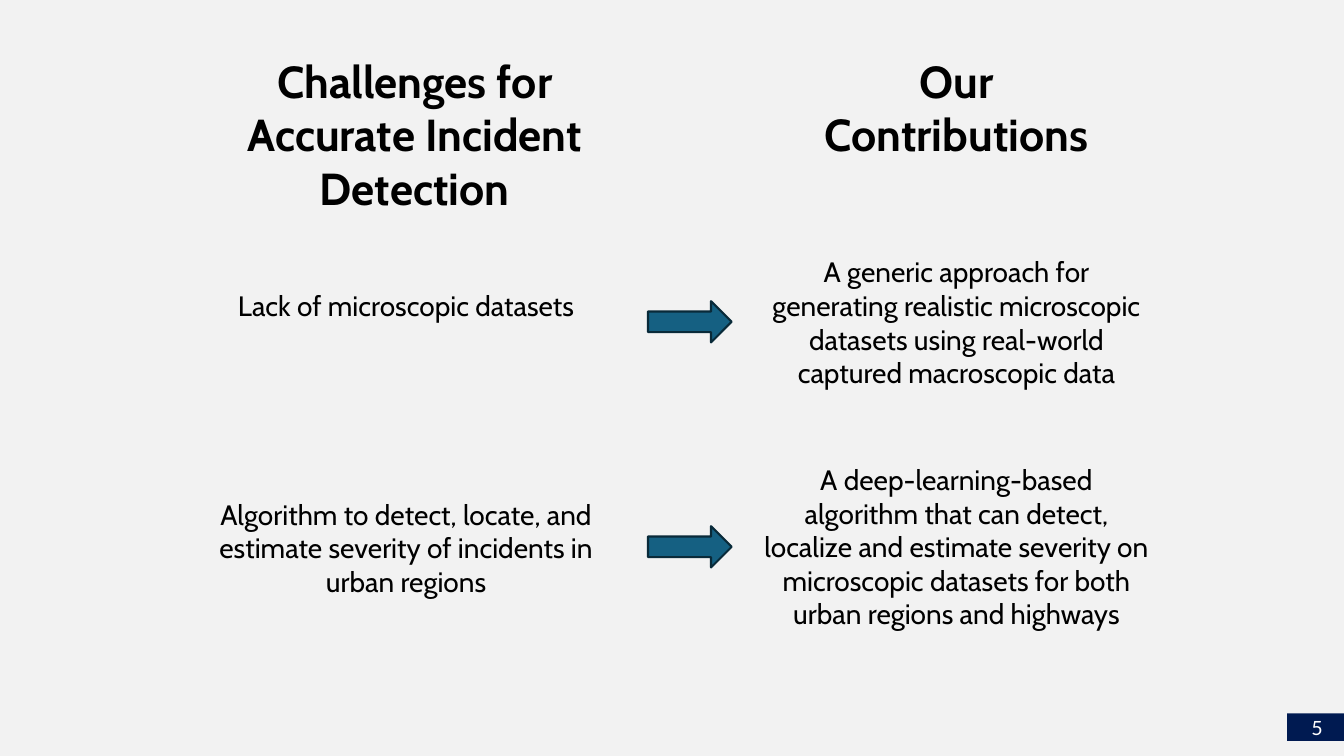
"""Build a slide that pairs incident detection challenges with contributions."""
from pptx import Presentation
from pptx.dml.color import RGBColor
from pptx.enum.shapes import MSO_SHAPE as Preset
from pptx.enum.text import MSO_ANCHOR as Anchor, MSO_AUTO_SIZE as AutoSize, PP_ALIGN as Align
from pptx.util import Cm, Pt

BACKGROUND = RGBColor(0xF2, 0xF2, 0xF2)
BLACK = RGBColor(0, 0, 0)
WHITE = RGBColor(0xFF, 0xFF, 0xFF)
NAVY = RGBColor(0x00, 0x1A, 0x51)
TEAL = RGBColor(0x15, 0x60, 0x82)
DARK_TEAL = RGBColor(0x09, 0x2A, 0x39)

HEADINGS = [
    ("Challenges for Accurate Incident Detection", 4.6, 11.71, 4.37),
    ("Our Contributions", 19.48, 9.25, 3.0),
]
PAIRS = [
    {
        "challenge": ("Lack of microscopic datasets", 7.14, 1.12),
        "contribution": ("A generic approach for generating realistic microscopic "
                         "datasets using real-world captured macroscopic data", 6.3, 3.68),
        "arrow_top": 7.59,
    },
    {
        "challenge": ("Algorithm to detect, locate, and estimate severity of "
                      "incidents in urban regions", 12.4, 2.82),
        "contribution": ("A deep-learning-based algorithm that can detect, localize and "
                         "estimate severity on microscopic datasets for both urban "
                         "regions and highways", 11.53, 4.52),
        "arrow_top": 13.26,
    },
]
PAGE_NUMBER = "5"
COLUMN_LEFT = {"challenge": 5.08, "contribution": 18.95}
COLUMN_WIDTH = 10.31
ARROW_LEFT, ARROW_WIDTH, ARROW_HEIGHT = 16.33, 2.11, 1.04

HEADING_FONT = {"name": "Cabin", "size": Pt(32), "bold": True}
BODY_FONT = {"name": "Cabin", "size": Pt(20)}
NUMBER_FONT = {"name": "Lato", "size": Pt(14)}


def write(frame, text, font, color):
    """Put centred text in a frame."""
    frame.word_wrap = True
    paragraph = frame.paragraphs[0]
    paragraph.alignment = Align.CENTER
    run = paragraph.add_run()
    run.text = text
    for key, value in font.items():
        setattr(run.font, key, value)
    run.font.color.rgb = color


def add_text(slide, text, left, top, width, height, font):
    """Add a black text box, with lengths in centimetres."""
    frame = slide.shapes.add_textbox(Cm(left), Cm(top), Cm(width), Cm(height)).text_frame
    write(frame, text, font, BLACK)
    frame.auto_size = AutoSize.SHAPE_TO_FIT_TEXT


def add_filled(slide, preset, left, top, width, height, color):
    """Add a filled shape without shadow, with lengths in centimetres."""
    shape = slide.shapes.add_shape(preset, Cm(left), Cm(top), Cm(width), Cm(height))
    shape.shadow.inherit = False
    shape.fill.solid()
    shape.fill.fore_color.rgb = color
    return shape


def main():
    """Build and save the slide."""
    deck = Presentation()
    deck.slide_width, deck.slide_height = Cm(33.87), Cm(19.05)
    slide = deck.slides.add_slide(deck.slide_layouts[6])
    slide.background.fill.solid()
    slide.background.fill.fore_color.rgb = BACKGROUND

    badge = add_filled(slide, Preset.RECTANGLE, 32.44, 17.98, 1.5, 0.69, NAVY)
    badge.line.fill.background()
    badge.text_frame.vertical_anchor = Anchor.MIDDLE
    write(badge.text_frame, PAGE_NUMBER, NUMBER_FONT, WHITE)

    for text, left, width, height in HEADINGS:
        add_text(slide, text, left, 1.22, width, height, HEADING_FONT)

    for pair in PAIRS:
        for column, left in COLUMN_LEFT.items():
            text, top, height = pair[column]
            add_text(slide, text, left, top, COLUMN_WIDTH, height, BODY_FONT)
        arrow = add_filled(slide, Preset.RIGHT_ARROW, ARROW_LEFT, pair["arrow_top"],
                           ARROW_WIDTH, ARROW_HEIGHT, TEAL)
        arrow.line.color.rgb = DARK_TEAL
        arrow.line.width = Pt(1.5)

    deck.save("out.pptx")


if __name__ == "__main__":
    main()
